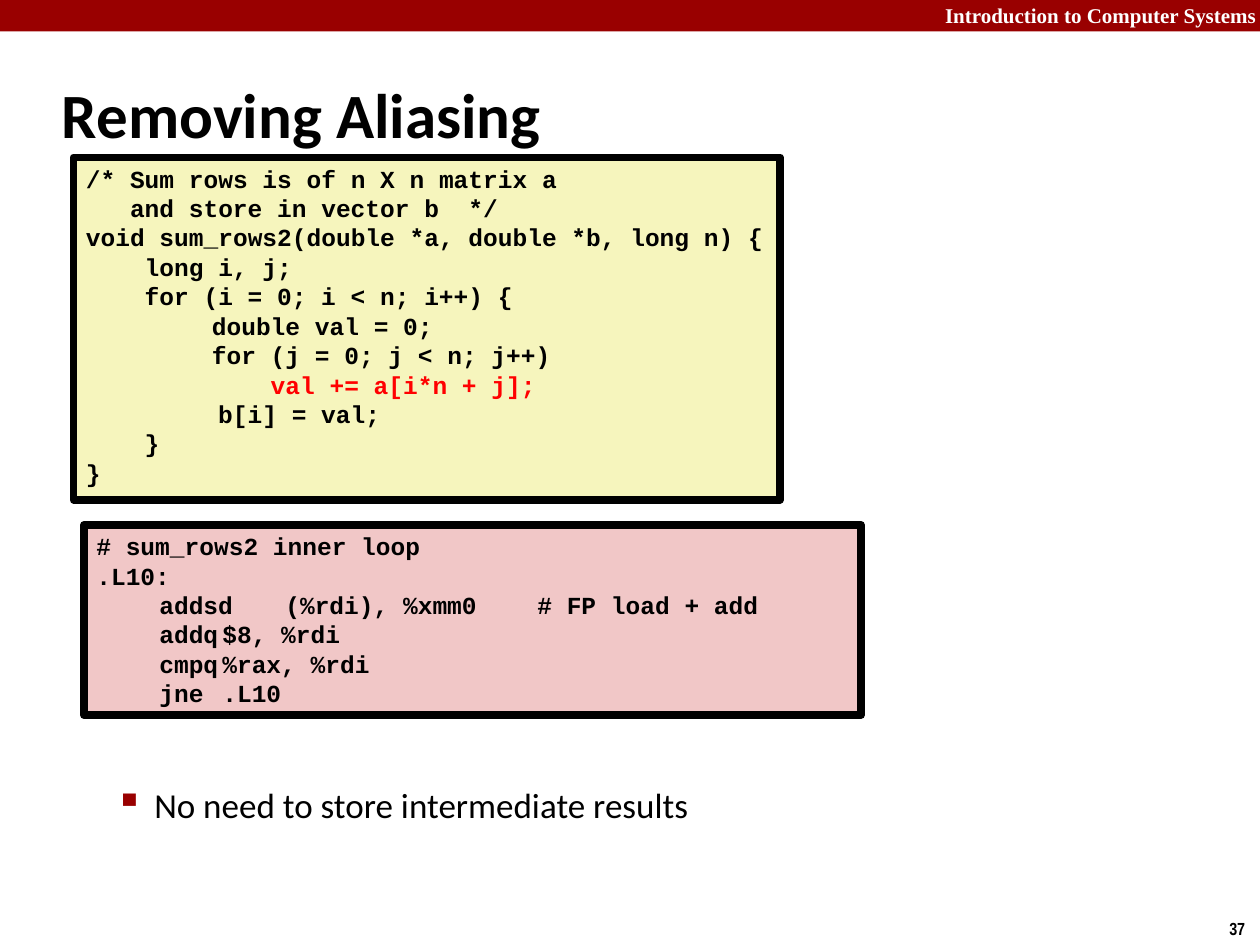
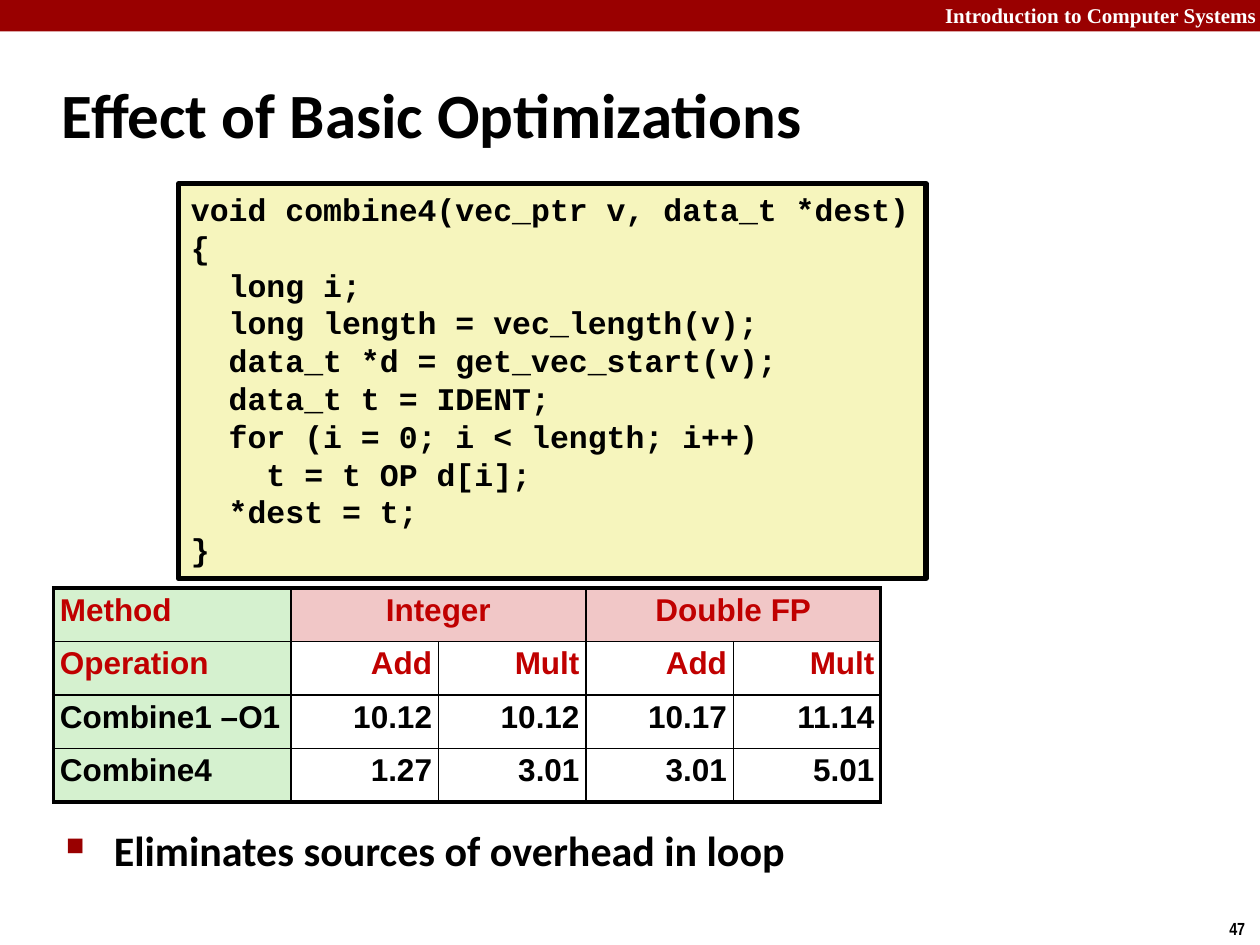
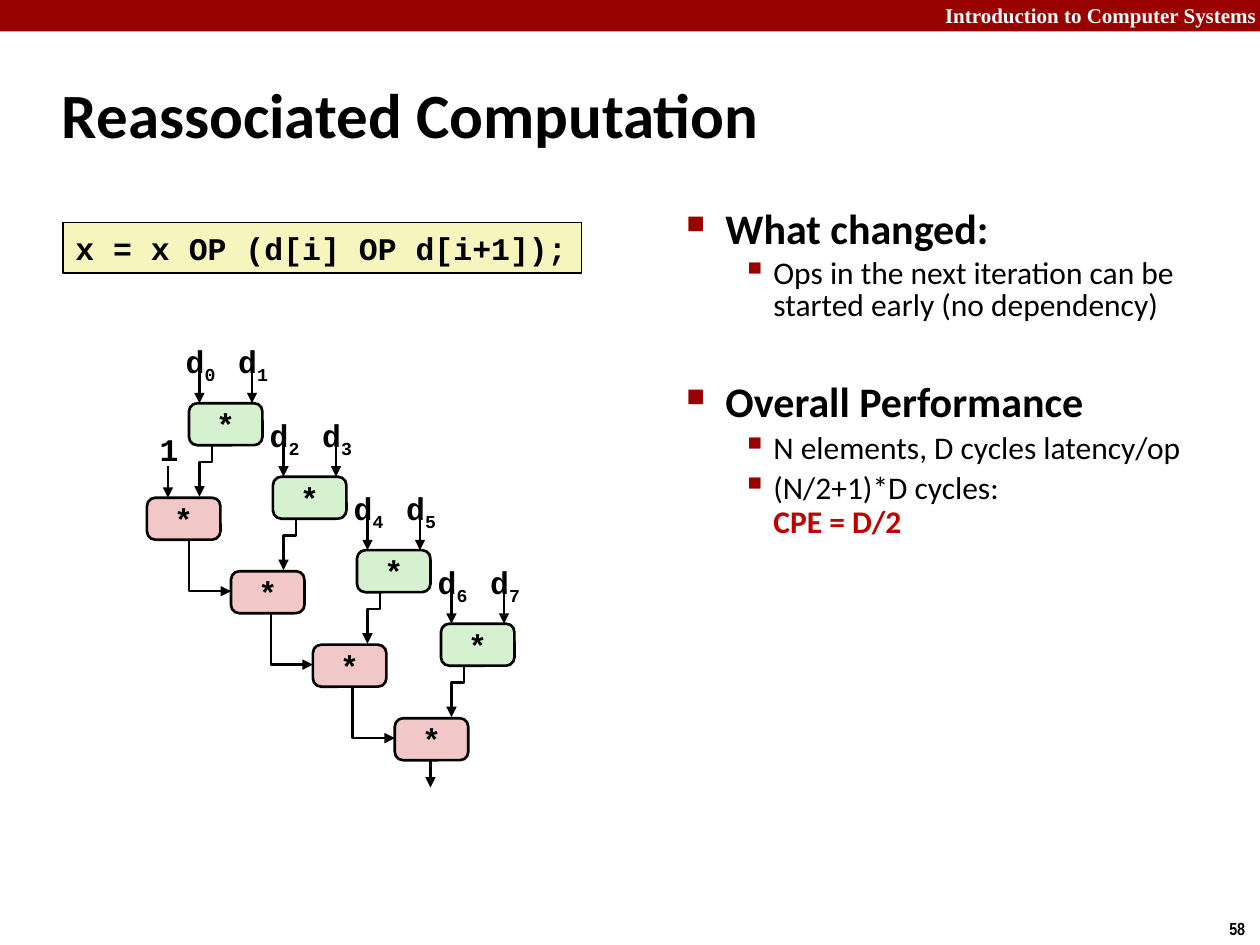
from lxml import etree
from pptx import Presentation
from pptx import util as u
from pptx.dml.color import RGBColor
from pptx.enum import shapes, text
from pptx.oxml.ns import qn

BLACK, WHITE, BAND, RED, ACCENT = "000000", "FFFFFF", "990000", "FF0000", "C00000"
YELLOW, PINK, GREEN = "F6F5BD", "F1C7C7", "D5F1CF"
SANS, MONO = "Calibri", "Courier New"
COLS, ROWS = 120, 90
CHAR = 0.6
ALIGN = {"left": text.PP_ALIGN.LEFT, "center": text.PP_ALIGN.CENTER, "right": text.PP_ALIGN.RIGHT}


def rgb(value):
    return RGBColor.from_string(value)


def add_xml(parent, tag, **attrs):
    el = etree.SubElement(parent, qn(tag))
    for key, value in attrs.items():
        el.set(key, str(value))
    return el


def write(tf, content, size=18, font=SANS, color=BLACK, bold=False, align="left",
          spacing=None, before=0, left=0, hang=0, bullet=None, stops=()):
    p = tf.paragraphs[-1]
    if p.runs:
        p = tf.add_paragraph()
    p.alignment = ALIGN[align]
    p.space_before = u.Pt(before)
    if spacing:
        p.line_spacing = spacing
    pPr = p._p.get_or_add_pPr()
    pPr.set("marL", str(u.Inches(left)))
    pPr.set("indent", str(-u.Inches(hang)))
    if bullet:
        char, percent = bullet
        add_xml(add_xml(pPr, "a:buClr"), "a:srgbClr", val=BAND)
        add_xml(pPr, "a:buSzPct", val=percent * 1000)
        add_xml(pPr, "a:buChar", char=char)
    if stops:
        tabs = add_xml(pPr, "a:tabLst")
        for stop in stops:
            add_xml(tabs, "a:tab", pos=u.Inches(stop), algn="l")
    for part, extra in [(content, {})] if isinstance(content, str) else content:
        for i, line in enumerate(part.split("\n")):
            if i:
                p.add_line_break()
            if not line:
                continue
            r = p.add_run()
            r.text = line
            r.font.name, r.font.size = font, u.Pt(size)
            r.font.bold = extra.get("bold", bold)
            r.font.color.rgb = rgb(extra.get("color", color))
            if "base" in extra:
                r.font._element.set("baseline", str(extra["base"] * 1000))


class Deck:
    def __init__(self):
        self.prs = Presentation()
        self.prs.slide_width, self.prs.slide_height = u.Inches(10), u.Inches(7.5)
        self.s = None

    def x(self, cols):
        return round(self.prs.slide_width * cols / COLS)

    def y(self, rows):
        return round(self.prs.slide_height * rows / ROWS)

    def area(self, left, top, width, height):
        return self.x(left), self.y(top), self.x(width), self.y(height)

    def slide(self, title, number):
        self.s = self.prs.slides.add_slide(self.prs.slide_layouts[5])
        self.box((0, 0, COLS, 3), BAND)
        write(self.text((72, -0.36, 48.84, 3.6)), "Introduction to Computer Systems",
              size=12, font="Times New Roman", color=WHITE, bold=True, align="right")
        write(self.text((115.9, 86.8, 4.1, 3.2), wrap=False), str(number),
              size=10, font="Arial Narrow", bold=True)
        sp = self.s.shapes.title
        sp.left, sp.top, sp.width, sp.height = self.area(4.7, 5.8, 99.6, 10)
        sp.text_frame.vertical_anchor = text.MSO_ANCHOR.MIDDLE
        write(sp.text_frame, title, size=36, bold=True)

    def text(self, at, wrap=True, inset=None):
        tf = self.s.shapes.add_textbox(*self.area(*at)).text_frame
        tf.word_wrap = wrap
        if inset is not None:
            tf.margin_left = tf.margin_right = u.Inches(inset)
        return tf

    def box(self, at, fill, line=0, kind=shapes.MSO_SHAPE.RECTANGLE):
        sp = self.s.shapes.add_shape(kind, *self.area(*at))
        sp.shadow.inherit = False
        sp.fill.solid()
        sp.fill.fore_color.rgb = rgb(fill)
        if line:
            self.stroke(sp, line)
        else:
            sp.line.fill.background()
        return sp

    def stroke(self, sp, width, arrow=False):
        sp.line.color.rgb = rgb(BLACK)
        sp.line.width = u.Pt(width)
        if arrow:
            add_xml(sp.line._get_or_add_ln(), "a:tailEnd", type="triangle")

    def code(self, at, lines, fill=YELLOW, size=18, line=3, stops=(), red=None):
        tf = self.box(at, fill, line).text_frame
        tf.word_wrap = True
        tf.vertical_anchor = text.MSO_ANCHOR.TOP
        for row in lines:
            body, left = row, 0
            if not stops:
                body = row.lstrip()
                lead = row[:len(row) - len(body)]
                left = lead.count("\t") + lead.count(" ") * CHAR * size / 72
            write(tf, body, size=size, font=MONO, bold=True, left=left, stops=stops,
                  color=RED if body == red else BLACK)

    def node(self, col, row, fill):
        sp = self.box((col, row, 7, 4), fill, 1.5, shapes.MSO_SHAPE.ROUNDED_RECTANGLE)
        sp.adjustments[0] = 0.2
        tf = sp.text_frame
        tf.vertical_anchor = text.MSO_ANCHOR.MIDDLE
        tf.margin_left = tf.margin_right = tf.margin_top = tf.margin_bottom = 0
        write(tf, "*", font=MONO, bold=True, align="center")

    def label(self, at, content):
        write(self.text(at, wrap=False, inset=0.05), content, font=MONO, bold=True, align="center")

    def arrow(self, col, top, bottom):
        sp = self.s.shapes.add_connector(shapes.MSO_CONNECTOR.STRAIGHT, self.x(col), self.y(top),
                                         self.x(col), self.y(bottom))
        self.stroke(sp, 1.5, arrow=True)
        add_xml(sp._element.spPr, "a:effectLst")

    def elbow(self, *points):
        start, *rest = [(self.x(col), self.y(row)) for col, row in points]
        path = self.s.shapes.build_freeform(*start)
        path.add_line_segments(rest, close=False)
        sp = path.convert_to_shape()
        sp.shadow.inherit = False
        sp.fill.background()
        self.stroke(sp, 1.5, arrow=True)

    def table(self, left, top, widths, heights, rows):
        at = self.area(left, top, sum(widths), sum(heights))
        tbl = self.s.shapes.add_table(len(rows), len(widths), *at).table
        tbl.first_row = tbl.horz_banding = False
        for col, width in zip(tbl.columns, widths):
            col.width = self.x(width)
        for row, height in zip(tbl.rows, heights):
            row.height = self.y(height)
        for c in (1, 3):
            tbl.cell(0, c).merge(tbl.cell(0, c + 1))
        for r, row in enumerate(rows):
            for c, value in enumerate(row):
                if value is not None:
                    self.cell(tbl, r, c, value)

    def cell(self, tbl, r, c, value):
        cell = tbl.cell(r, c)
        cell.margin_left = cell.margin_right = u.Inches(0.05)
        cell.fill.solid()
        cell.fill.fore_color.rgb = rgb(GREEN if c == 0 else PINK if r == 0 else WHITE)
        write(cell.text_frame, value, font="Arial", bold=True, spacing=0.95,
              color=ACCENT if r < 2 else BLACK,
              align="left" if c == 0 else "center" if r == 0 else "right")
        outer = {"L": c == 0, "R": c + cell.span_width == len(tbl.columns),
                 "T": r == 0, "B": r + 1 == len(tbl.rows)}
        tcPr = cell._tc.get_or_add_tcPr()
        for i, (side, thick) in enumerate(outer.items()):
            ln = add_xml(tcPr, "a:ln" + side, w=u.Pt(2.25 if thick else 1))
            add_xml(add_xml(ln, "a:solidFill"), "a:srgbClr", val=BLACK)
            tcPr.insert(i, ln)


def bullet(tf, content, sub=False, **fmt):
    style = dict(bullet=("▪", 110)) if sub else dict(bullet=("■", 60), size=24, bold=True)
    write(tf, content, **{**style, **fmt})


def removing_aliasing(d):
    d.slide("Removing Aliasing", 37)
    bullet(d.text((3.8, 74, 109, 10.5)), "No need to store intermediate results",
           sub=True, size=20, left=0.81, hang=0.31)
    d.code((8, 50, 74, 18.1), [
        "# sum_rows2 inner loop",
        ".L10:",
        "\taddsd\t(%rdi), %xmm0\t# FP load + add",
        "\taddq\t$8, %rdi",
        "\tcmpq\t%rax, %rdi",
        "\tjne\t.L10",
    ], fill=PINK, size=14, line=4.5, stops=(0.93, 1.87, 4))
    d.code((7, 15, 67.3, 32.6), [
        "/* Sum rows is of n X n matrix a",
        "   and store in vector b  */",
        "void sum_rows2(double *a, double *b, long n) {",
        "    long i, j;",
        "    for (i = 0; i < n; i++) {",
        "\tdouble val = 0;",
        "\tfor (j = 0; j < n; j++)",
        "\t    val += a[i*n + j];",
        "         b[i] = val;",
        "    }",
        "}",
    ], size=14, line=4.5, red="val += a[i*n + j];")


def basic_optimizations(d):
    d.slide("Effect of Basic Optimizations", 47)
    bullet(d.text((5.1, 77.9, 103.7, 7)), "Eliminates sources of overhead in loop",
           left=0.38, hang=0.38)
    d.code((17, 17.5, 71.2, 37.6), [
        "void combine4(vec_ptr v, data_t *dest)",
        "{",
        "  long i;",
        "  long length = vec_length(v);",
        "  data_t *d = get_vec_start(v);",
        "  data_t t = IDENT;",
        "  for (i = 0; i < length; i++)",
        "    t = t OP d[i];",
        "  *dest = t;",
        "}",
    ])
    d.table(5.1, 56, [22.6] + [14.05] * 4, [5.1] * 4, [
        ["Method", "Integer", None, "Double FP", None],
        ["Operation", "Add", "Mult", "Add", "Mult"],
        ["Combine1 –O1", "10.12", "10.12", "10.17", "11.14"],
        ["Combine4", "1.27", "3.01", "3.01", "5.01"],
    ])


def reassociated_computation(d):
    d.slide("Reassociated Computation", 58)
    d.code((6, 21.2, 49.4, 4.8), ["x = x OP (d[i] OP d[i+1]);"], line=1)

    tf = d.text((64.2, 19.4, 51.8, 68.5))
    head = dict(left=0.31, hang=0.31, spacing=0.85)
    item = dict(sub=True, left=0.69, hang=0.25, before=3.6)
    bullet(tf, "What changed:", **head)
    bullet(tf, "Ops in the next iteration can be started early (no dependency)", spacing=0.85, **item)
    bullet(tf, "Overall Performance", before=34, **head)
    bullet(tf, "N elements, D cycles latency/op", spacing=0.9, **item)
    bullet(tf, [("(N/2+1)*D cycles:\n", {}), ("CPE = D/2", {"color": ACCENT, "bold": True})],
           spacing=0.9, **item)

    chain = [14, 22, 29.8, 37.6]
    d.label((14.6, 40.4, 3, 4.8), "1")
    d.arrow(16, 44.4, 47.4)
    for i, col in enumerate(chain):
        dx, dy = 8 * i, 7 * i
        d.node(18 + dx, 38.4 + dy, GREEN)
        d.node(col, 47.4 + dy, PINK)
        for k in range(2):
            d.label((17 + dx + 5 * k, 32 + dy, 4.2, 4.8), [("d", {}), (str(2 * i + k), {"base": -25})])
            d.arrow(19 + dx + 5 * k, 35.4 + dy, 38.4 + dy)
        d.elbow((20.2 + dx, 42.4 + dy), (20.2 + dx, 44 + dy), (19 + dx, 44 + dy), (19 + dx, 47.3 + dy))
    for i, col in enumerate(chain[1:]):
        dy = 7 * i
        d.elbow((col - 4, 51.4 + dy), (col - 4, 56.3 + dy), (col, 56.3 + dy))
    d.arrow(41, 72.4, 75)


def main():
    d = Deck()
    removing_aliasing(d)
    basic_optimizations(d)
    reassociated_computation(d)
    d.prs.save("out.pptx")


if __name__ == "__main__":
    main()
